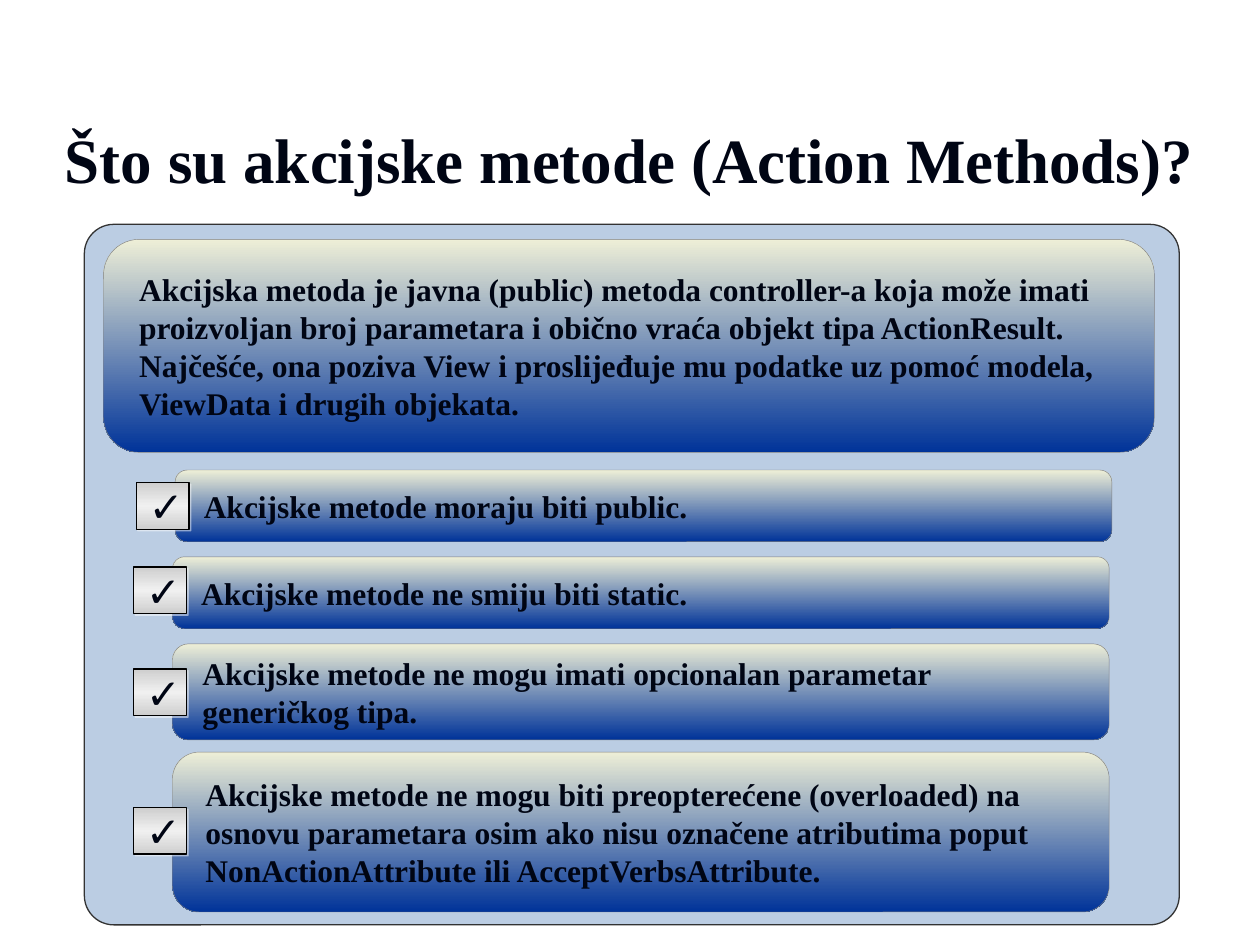
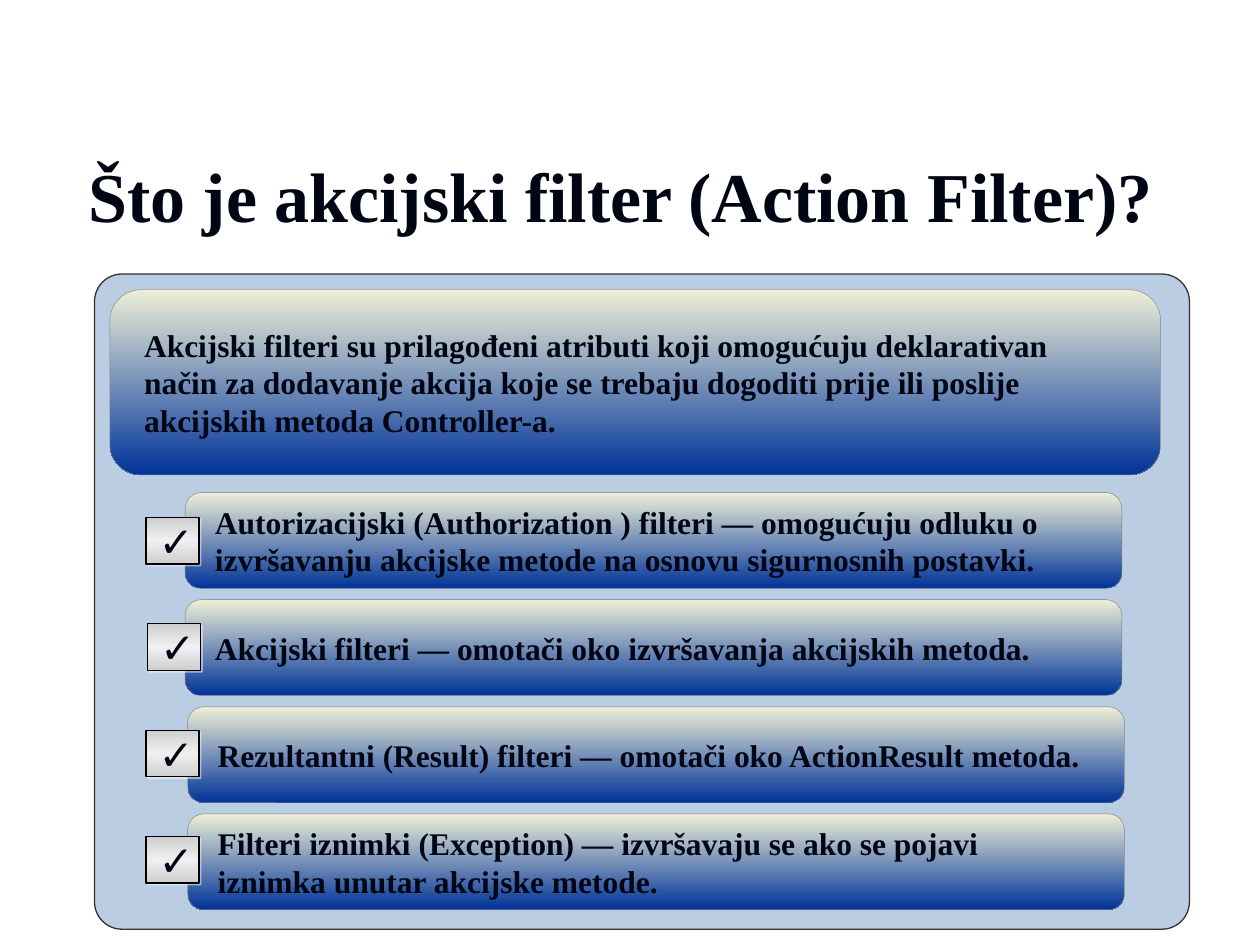
from copy import deepcopy
from lxml.etree import SubElement as Sub
from pptx import Presentation
from pptx.dml.color import RGBColor as Rgb
from pptx.enum.shapes import MSO_SHAPE as Kind
from pptx.enum.text import MSO_ANCHOR as Anchor, PP_ALIGN as Align
from pptx.oxml.ns import qn
from pptx.util import Pt

HEX = {
    "ink": "000514", "panel": "BBCDE3", "frame": "333333",
    "cream": "EEEFD7", "navy": "003399", "edge": "808080",
    "steel": "CECECE", "shine": "F0F0F0", "black": "000000",
    "white": "FFFFFF",
}
SERIF, SANS = "Times New Roman", "Arial"
BAR = 535.3
MARK = (30.2, 26.6)


def tint(name):
    """Return a named colour."""
    return Rgb.from_string(HEX[name])


def write(shape, text, size, font=SERIF, bold=True, align=Align.LEFT,
          side=7.2, wrap=True):
    """Put one styled paragraph in the middle of a shape."""
    frame = shape.text_frame
    frame.word_wrap = wrap
    frame.vertical_anchor = Anchor.MIDDLE
    frame.margin_left = frame.margin_right = Pt(side)
    frame.margin_top = frame.margin_bottom = Pt(3.6)
    para = frame.paragraphs[0]
    para.text = text
    para.alignment = align
    para.font.name, para.font.size, para.font.bold = font, Pt(size), bold
    para.font.color.rgb = tint("ink")


def blend(shape, *names):
    """Fill a shape from top to bottom with evenly spaced colours."""
    fill = shape.fill
    fill.gradient()
    fill.gradient_angle = 270
    stops = shape.element.spPr.find(".//" + qn("a:gsLst"))
    for _ in names[2:]:
        stops.append(deepcopy(stops[0]))
    for i, (stop, name) in enumerate(zip(fill.gradient_stops, names)):
        stop.color.rgb = tint(name)
        stop.position = i / (len(names) - 1)


def box(slide, at, round_, edge, width):
    """Add a rounded box with an outline."""
    shape = slide.shapes.add_shape(Kind.ROUNDED_RECTANGLE, *map(Pt, at))
    shape.adjustments[0] = round_
    shape.line.color.rgb = tint(edge)
    shape.line.width = Pt(width)
    shape.shadow.inherit = False
    return shape


def title(slide, at, text, size):
    """Add the slide title."""
    write(slide.shapes.add_textbox(*map(Pt, at)), text, size,
          align=Align.CENTER)


def panel(slide, at):
    """Add the pale panel behind the cards."""
    shape = box(slide, at, 0.042, "frame", 0.75)
    shape.fill.solid()
    shape.fill.fore_color.rgb = tint("panel")


def card(slide, at, text):
    """Add a shaded card with bold text."""
    shape = box(slide, at, 0.167, "edge", 0.25)
    blend(shape, "cream", "navy")
    write(shape, text, 18, side=14.4)


def glow(shape):
    """Add a small half-clear white shadow to the lower right."""
    effects = shape.element.spPr.find(qn("a:effectLst"))
    cast = Sub(effects, qn("a:outerShdw"), dist=str(Pt(1.4)),
               dir="2700000", algn="ctr", rotWithShape="0")
    color = Sub(cast, qn("a:srgbClr"), val=HEX["white"])
    Sub(color, qn("a:alpha"), val="50000")


def mark(slide, left, top):
    """Add a grey tick box."""
    shape = box(slide, (left, top, *MARK), 0, "black", 0.75)
    blend(shape, "steel", "shine", "steel")
    glow(shape)
    write(shape, "✓", 24, SANS, False, wrap=False)


def rule(slide, left, top, high, tick, text):
    """Add a card with a tick box on its left edge."""
    card(slide, (left, top, BAR, high), text)
    mark(slide, *tick)


def methods(slide):
    """Build the slide on action methods."""
    title(slide, (19.4, 61.9, 680.4, 56.9),
          "Što su akcijske metode (Action Methods)?", 36)
    panel(slide, (48.2, 128.2, 625.7, 400.3))
    card(slide, (59.2, 136.8, 600.5, 121.7),
         "Akcijska metoda je javna (public) metoda controller-a koja može "
         "imati proizvoljan broj parametara i obično vraća objekt tipa "
         "ActionResult. Najčešće, ona poziva View i proslijeđuje mu podatke "
         "uz pomoć modela, ViewData i drugih objekata.")
    rules = (
        (100.1, 268.6, 41, (77.8, 275.8),
         "Akcijske metode moraju biti public."),
        (98.6, 318.2, 41, (76.3, 324),
         "Akcijske metode ne smiju biti static."),
        (98.6, 367.9, 54.9, (76.3, 382.3),
         "Akcijske metode ne mogu imati opcionalan parametar "
         "generičkog tipa."),
        (98.6, 429.8, 91.4, (76.3, 461.5),
         "Akcijske metode ne mogu biti preopterećene (overloaded) na osnovu "
         "parametara osim ako nisu označene atributima poput "
         "NonActionAttribute ili AcceptVerbsAttribute."),
    )
    for item in rules:
        rule(slide, *item)


def filters(slide):
    """Build the slide on action filters."""
    title(slide, (14.4, 82.8, 680.4, 56.9),
          "Što je akcijski filter (Action Filter)?", 40)
    panel(slide, (54, 156.6, 625.7, 374.4))
    card(slide, (62.8, 165.6, 600.5, 105.8),
         "Akcijski filteri su prilagođeni atributi koji omogućuju "
         "deklarativan način za dodavanje akcija koje se trebaju dogoditi "
         "prije ili poslije akcijskih metoda Controller-a.")
    rules = (
        (105.8, 83.5,
         "Autorizacijski (Authorization ) filteri — omogućuju odluku o "
         "izvršavanju akcijske metode na osnovu sigurnosnih postavki."),
        (105.8, 84.4,
         "Akcijski filteri — omotači oko izvršavanja akcijskih metoda."),
        (107.3, 83.5,
         "Rezultantni (Result) filteri — omotači oko ActionResult metoda."),
        (107.3, 83.5,
         "Filteri iznimki (Exception) — izvršavaju se ako se pojavi "
         "iznimka unutar akcijske metode."),
    )
    for i, (left, tick, text) in enumerate(rules):
        rule(slide, left, 281.5 + 61.2 * i, 54.7,
             (tick, 295.7 + 60.8 * i), text)


def main():
    """Build and save both slides."""
    deck = Presentation()
    deck.slide_width, deck.slide_height = Pt(720), Pt(540)
    for build in (methods, filters):
        build(deck.slides.add_slide(deck.slide_layouts[6]))
    deck.save("out.pptx")


if __name__ == "__main__":
    main()
